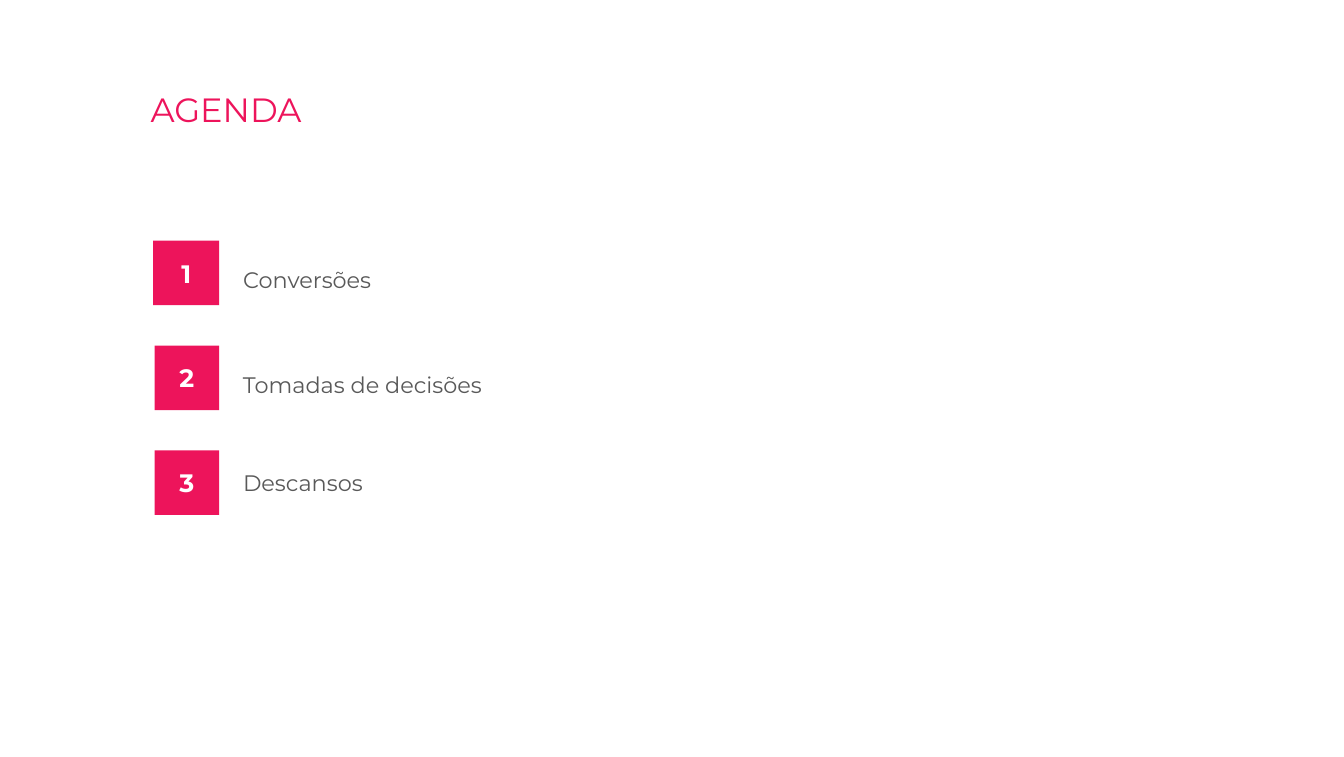
from dataclasses import dataclass

from pptx import Presentation
from pptx.dml.color import RGBColor
from pptx.enum.shapes import MSO_SHAPE
from pptx.enum.text import MSO_ANCHOR, MSO_AUTO_SIZE, PP_ALIGN
from pptx.util import Inches, Pt


@dataclass(frozen=True)
class Theme:
    font: str = "Montserrat"
    accent: str = "ED145B"
    text: str = "595959"
    light: str = "FFFFFF"
    title_size: float = 18
    label_size: float = 12
    number_size: float = 13.5


THEME = Theme()

# Grid: one row per agenda item, a number column and a label column
ROW_TOP, ROW_STEP = 1.79, 0.78
NUMBER_RIGHT, NUMBER_HEIGHT = 1.63, 0.48
LABEL_LEFT = 1.71

# Text, number width, label offset in its row, label width and height,
# line spacing, space before
ITEMS = [
    ("Conversões", 0.49, 0.02, 5.08, 0.44, 1.5, 7.5),
    ("Tomadas de decisões", 0.48, 0.06, 5, 0.36, 1.5, 0),
    ("Descansos", 0.48, 0.09, 2.95, 0.3, 1, 0),
]


def write(sp, text, size, color, anchor, align=PP_ALIGN.LEFT, bold=False):
    tf = sp.text_frame
    tf.text = text
    tf.word_wrap = True
    tf.auto_size = MSO_AUTO_SIZE.NONE
    tf.vertical_anchor = anchor
    p = tf.paragraphs[0]
    p.alignment = align
    font = p.runs[0].font
    font.name, font.size, font.bold = THEME.font, Pt(size), bold
    font.color.rgb = RGBColor.from_string(color)
    return p


def add_title(slide, text):
    sp = slide.shapes.title
    sp.left, sp.top = Inches(1.02), Inches(0.61)
    sp.width, sp.height = Inches(4.18), Inches(0.4)
    write(sp, text, THEME.title_size, THEME.accent, MSO_ANCHOR.TOP)


def add_number(slide, number, top, width):
    sp = slide.shapes.add_shape(
        MSO_SHAPE.RECTANGLE, Inches(NUMBER_RIGHT - width), Inches(top),
        Inches(width), Inches(NUMBER_HEIGHT))
    sp.shadow.inherit = False
    sp.fill.solid()
    sp.fill.fore_color.rgb = RGBColor.from_string(THEME.accent)
    sp.line.fill.background()
    write(sp, str(number), THEME.number_size, THEME.light,
          MSO_ANCHOR.MIDDLE, PP_ALIGN.CENTER, bold=True)


def add_label(slide, text, top, width, height, spacing, before):
    sp = slide.shapes.add_textbox(
        Inches(LABEL_LEFT), Inches(top), Inches(width), Inches(height))
    p = write(sp, text, THEME.label_size, THEME.text, MSO_ANCHOR.MIDDLE)
    p.line_spacing = spacing
    p.space_before = Pt(before)


def main():
    prs = Presentation()
    prs.slide_width, prs.slide_height = Inches(10), Inches(5.63)
    slide = prs.slides.add_slide(prs.slide_layouts.get_by_name("Title Only"))

    add_title(slide, "AGENDA")

    # Numbered agenda rows
    for i, (text, number_width, offset, *label) in enumerate(ITEMS):
        top = ROW_TOP + i * ROW_STEP
        add_label(slide, text, top + offset, *label)
        add_number(slide, i + 1, top, number_width)

    prs.save("out.pptx")


if __name__ == "__main__":
    main()
